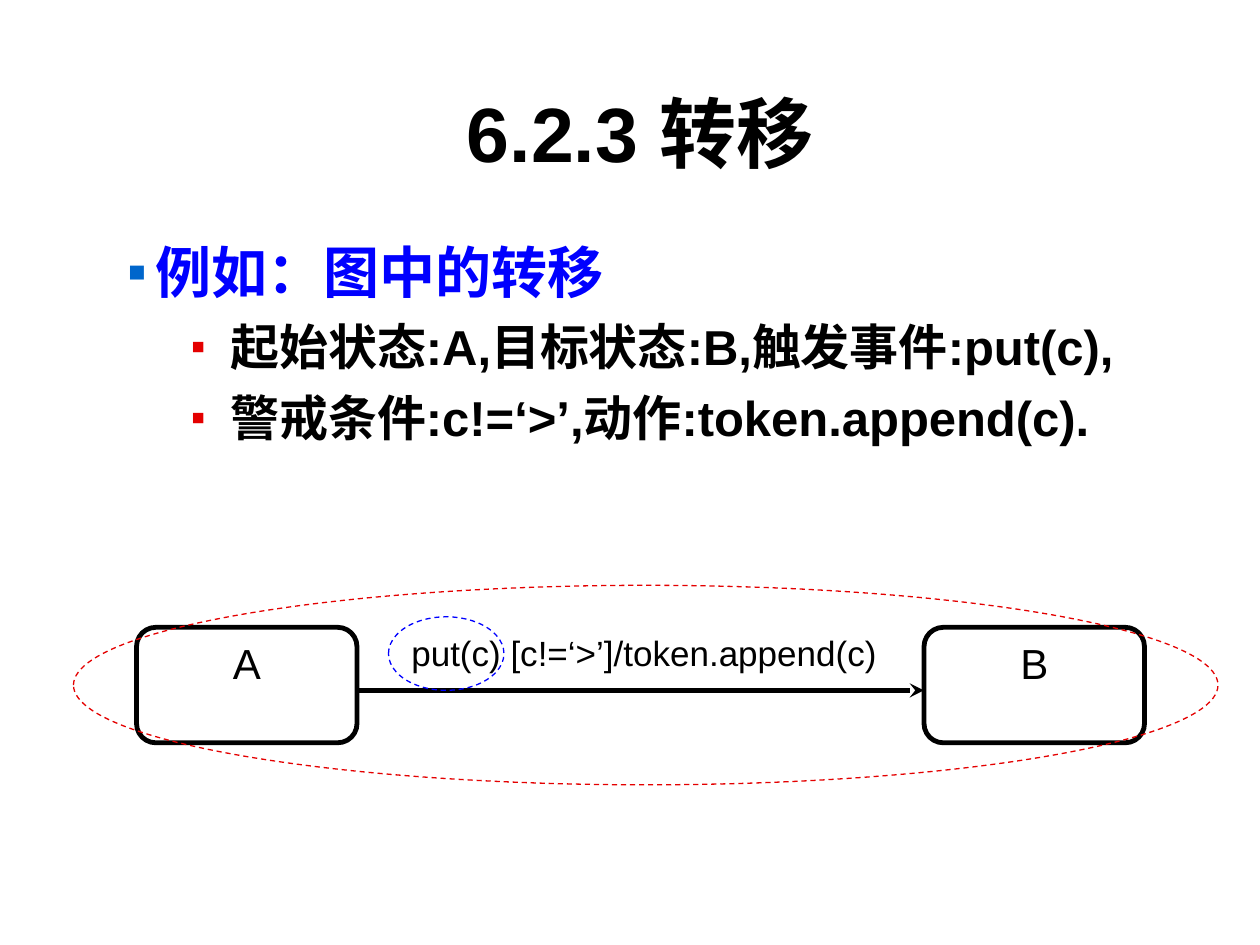
from dataclasses import dataclass

from lxml import etree
from pptx import Presentation
from pptx.dml.color import RGBColor
from pptx.enum import dml, lang, shapes, text
from pptx.oxml import ns
from pptx.util import Pt

BLACK, BLUE, RED, BULLET_BLUE = "000000", "0000FF", "E40000", "0066CC"
FONT = "Arial"
ZH, EN = lang.MSO_LANGUAGE_ID.SIMPLIFIED_CHINESE, lang.MSO_LANGUAGE_ID.ENGLISH_US


@dataclass
class Box:
    left: float
    top: float
    width: float
    height: float

    def lengths(self) -> tuple:
        return Pt(self.left), Pt(self.top), Pt(self.width), Pt(self.height)


@dataclass
class Bullet:
    words: str
    size: float
    color: str
    mark_color: str
    mark_percent: int
    margin: float
    hanging: float
    space_before: float


@dataclass
class State:
    name: str
    box: Box


@dataclass
class Highlight:
    box: Box
    color: str


def rgb(hex_color: str) -> RGBColor:
    return RGBColor.from_string(hex_color)


def style(paragraph, size: float, color: str, bold: bool = False, language=EN) -> None:
    for run in paragraph.runs:
        font = run.font
        font.name, font.size, font.bold = FONT, Pt(size), bold
        font.color.rgb = rgb(color)
        font.language_id = language
        etree.SubElement(font._element, ns.qn("a:ea")).set("typeface", FONT)


def add_text(slide, box: Box, anchor=text.MSO_ANCHOR.TOP):
    frame = slide.shapes.add_textbox(*box.lengths()).text_frame
    frame.word_wrap = True
    frame.vertical_anchor = anchor
    return frame


def add_bullet(paragraph, bullet: Bullet) -> None:
    paragraph.text = bullet.words
    paragraph.space_before = Pt(bullet.space_before)
    style(paragraph, bullet.size, bullet.color, bold=True, language=ZH)
    props = paragraph._p.get_or_add_pPr()
    props.set("marL", str(Pt(bullet.margin)))
    props.set("indent", str(-Pt(bullet.hanging)))
    mark_color = etree.SubElement(props, ns.qn("a:buClr"))
    etree.SubElement(mark_color, ns.qn("a:srgbClr")).set("val", bullet.mark_color)
    etree.SubElement(props, ns.qn("a:buSzPct")).set("val", str(bullet.mark_percent * 1000))
    etree.SubElement(props, ns.qn("a:buFont")).set("typeface", FONT)
    etree.SubElement(props, ns.qn("a:buChar")).set("char", "▪")


def add_outline(slide, kind, box: Box, color: str, width: float):
    outline = slide.shapes.add_shape(kind, *box.lengths())
    outline.shadow.inherit = False
    outline.fill.background()
    outline.line.color.rgb = rgb(color)
    outline.line.width = Pt(width)
    return outline


def add_state(slide, state: State) -> None:
    outline = add_outline(slide, shapes.MSO_SHAPE.ROUNDED_RECTANGLE, state.box, BLACK, 2.75)
    frame = outline.text_frame
    frame.vertical_anchor = text.MSO_ANCHOR.TOP
    frame.margin_top = Pt(6)
    frame.text = state.name
    name = frame.paragraphs[0]
    name.alignment = text.PP_ALIGN.CENTER
    name.line_spacing = 0.9
    style(name, 24, BLACK)


def add_highlight(slide, highlight: Highlight) -> None:
    oval = add_outline(slide, shapes.MSO_SHAPE.OVAL, highlight.box, highlight.color, 0.75)
    oval.line.dash_style = dml.MSO_LINE.DASH


def add_transition(slide, source: Box, target: Box, y: float) -> None:
    arrow = slide.shapes.add_connector(
        shapes.MSO_CONNECTOR.STRAIGHT,
        Pt(source.left + source.width), Pt(y), Pt(target.left), Pt(y))
    arrow.line.color.rgb = rgb(BLACK)
    arrow.line.width = Pt(2.75)
    etree.SubElement(arrow.line._get_or_add_ln(), ns.qn("a:tailEnd")).set("type", "stealth")
    etree.SubElement(arrow._element.spPr, ns.qn("a:effectLst"))


def detail(words: str) -> Bullet:
    return Bullet(words, 28, BLACK, RED, 85, 58.5, 22.5, 7)


BULLETS = [
    Bullet("例如：图中的转移", 32, BLUE, BULLET_BLUE, 100, 16, 16, 8),
    detail("起始状态:A,目标状态:B,触发事件:put(c),"),
    detail("警戒条件:c!=‘>’,动作:token.append(c)."),
]
STATES = [State(name, Box(left, 358.5, 126, 66)) for name, left in (("A", 78), ("B", 528))]
HIGHLIGHTS = [
    Highlight(Box(42, 334.5, 654, 114), RED),
    Highlight(Box(222, 352.5, 66, 42), BLUE),
]


def main() -> None:
    deck = Presentation()
    deck.slide_width, deck.slide_height = Pt(720), Pt(540)
    slide = deck.slides.add_slide(deck.slide_layouts[6])

    # Title
    title = add_text(slide, Box(60, 30, 612, 90), text.MSO_ANCHOR.MIDDLE)
    title.text = "6.2.3 转移"
    title.paragraphs[0].alignment = text.PP_ALIGN.CENTER
    style(title.paragraphs[0], 44, BLACK, bold=True, language=ZH)

    # Explanation
    body = add_text(slide, Box(66, 132, 582, 138))
    for index, bullet in enumerate(BULLETS):
        add_bullet(body.add_paragraph() if index else body.paragraphs[0], bullet)

    # State diagram
    for state in STATES:
        add_state(slide, state)
    label = add_text(slide, Box(228, 360, 282, 29))
    label.text = "put(c) [c!=‘>’]/token.append(c)"
    label.paragraphs[0].line_spacing = 0.9
    style(label.paragraphs[0], 20, BLACK)
    add_transition(slide, STATES[0].box, STATES[1].box, 394.5)

    # Highlights
    for highlight in HIGHLIGHTS:
        add_highlight(slide, highlight)

    deck.save("out.pptx")


if __name__ == "__main__":
    main()
